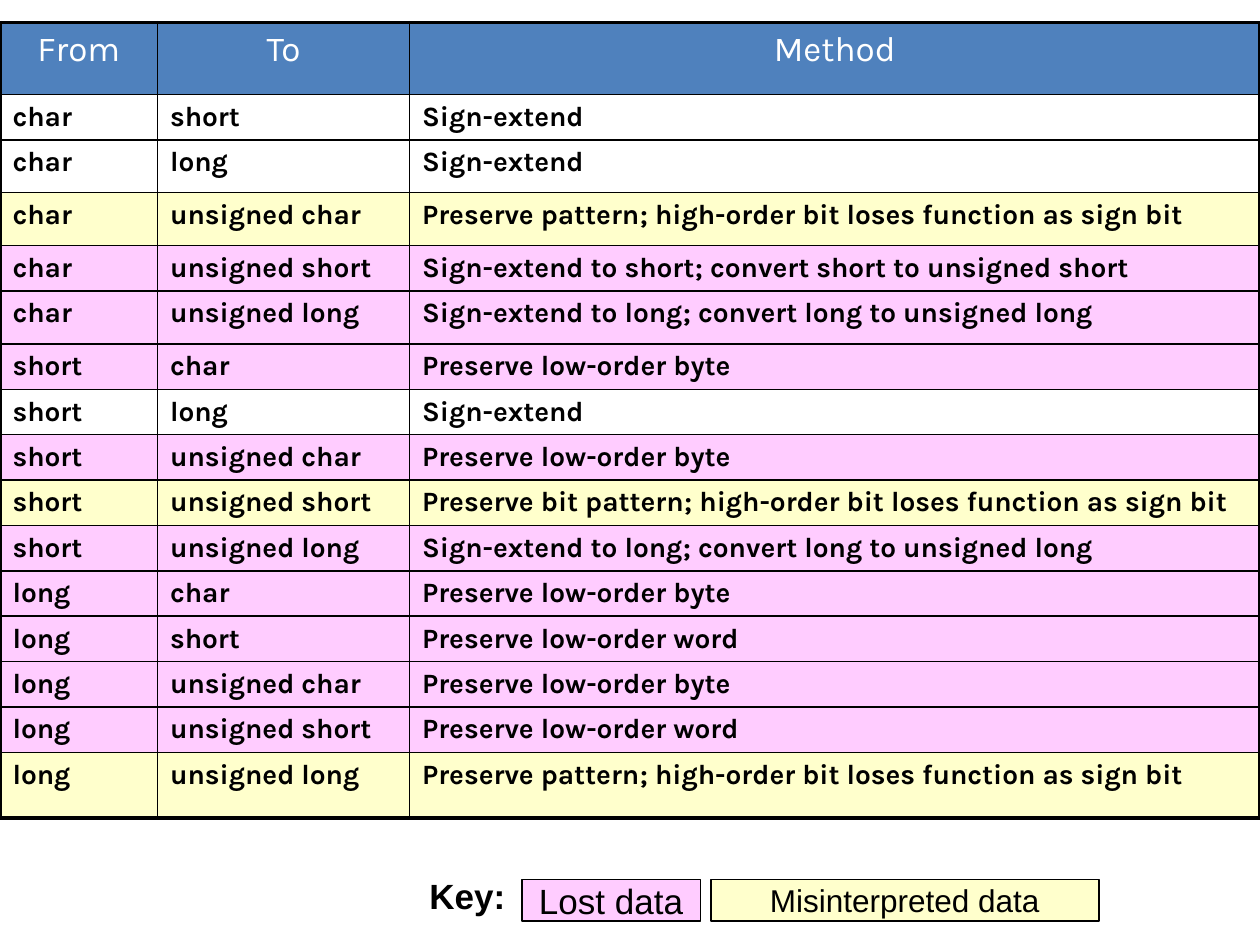
from lxml import etree
from pptx import Presentation
from pptx.dml.color import RGBColor
from pptx.enum.shapes import MSO_SHAPE
from pptx.enum.text import MSO_ANCHOR, MSO_AUTO_SIZE, PP_ALIGN
from pptx.oxml.ns import qn
from pptx.util import Inches, Pt

RECTANGLE = MSO_SHAPE.RECTANGLE
MIDDLE = MSO_ANCHOR.MIDDLE
GROW = MSO_AUTO_SIZE.SHAPE_TO_FIT_TEXT
LEFT, CENTER = PP_ALIGN.LEFT, PP_ALIGN.CENTER

THEME = {
    "black": "000000",
    "white": "FFFFFF",
    "header": "4F81BD",
    "safe": "FFFFFF",
    "misread": "FFFFCC",
    "lost": "FFCCFF",
    "table_font": "Karla",
    "key_font": "Arial",
    "large": Pt(20),
    "medium": Pt(18),
    "body": Pt(16),
    "thin": Pt(1),
    "thick": Pt(2.25),
}

ROW = 0.36
TALL = 0.42
CONVERSIONS = [
    ("char", "short", "Sign-extend", "safe", ROW),
    ("char", "long", "Sign-extend", "safe", TALL),
    ("char", "unsigned char", "Preserve pattern; high-order bit loses function as sign bit", "misread", TALL),
    ("char", "unsigned short", "Sign-extend to short; convert short to unsigned short", "lost", ROW),
    ("char", "unsigned long", "Sign-extend to long; convert long to unsigned long", "lost", TALL),
    ("short", "char", "Preserve low-order byte", "lost", ROW),
    ("short", "long", "Sign-extend", "safe", ROW),
    ("short", "unsigned char", "Preserve low-order byte", "lost", ROW),
    ("short", "unsigned short", "Preserve bit pattern; high-order bit loses function as sign bit", "misread", ROW),
    ("short", "unsigned long", "Sign-extend to long; convert long to unsigned long", "lost", ROW),
    ("long", "char", "Preserve low-order byte", "lost", ROW),
    ("long", "short", "Preserve low-order word", "lost", ROW),
    ("long", "unsigned char", "Preserve low-order byte", "lost", ROW),
    ("long", "unsigned short", "Preserve low-order word", "lost", ROW),
    ("long", "unsigned long", "Preserve pattern; high-order bit loses function as sign bit", "misread", 0.52),
]
ROWS = [("From", "To", "Method", "header", 0.57)] + CONVERSIONS
COLUMN_WIDTHS = [1.25, 2, 6.75]


def write(frame, text, font, size, color, bold, align):
    para = frame.paragraphs[0]
    para.alignment = align
    span = para.add_run()
    span.text = text
    span.font.name = THEME[font]
    span.font.size = THEME[size]
    span.font.bold = bold
    span.font.color.rgb = RGBColor.from_string(THEME[color])


def set_border(cell, side, width):
    line = etree.SubElement(cell._tc.get_or_add_tcPr(), qn(f"a:ln{side}"), w=str(THEME[width]))
    fill = etree.SubElement(line, qn("a:solidFill"))
    etree.SubElement(fill, qn("a:srgbClr"), val=THEME["black"])


deck = Presentation()
deck.slide_width = Inches(10)
deck.slide_height = Inches(7.5)
page = deck.slides.add_slide(deck.slide_layouts[6])

table_height = sum(row[-1] for row in ROWS)
table = page.shapes.add_table(
    len(ROWS), len(COLUMN_WIDTHS), Inches(0), Inches(0.18), Inches(10), Inches(table_height)
).table
table.horz_banding = False
for column, width in zip(table.columns, COLUMN_WIDTHS):
    column.width = Inches(width)

last_row = len(ROWS) - 1
last_column = len(COLUMN_WIDTHS) - 1
for row_index, (*texts, kind, height) in enumerate(ROWS):
    table.rows[row_index].height = Inches(height)
    for column_index, text in enumerate(texts):
        cell = table.cell(row_index, column_index)
        outer_edges = {
            "L": column_index == 0,
            "R": column_index == last_column,
            "T": row_index == 0,
            "B": row_index == last_row,
        }
        for side, is_outer in outer_edges.items():
            set_border(cell, side, "thick" if is_outer else "thin")
        cell.fill.solid()
        cell.fill.fore_color.rgb = RGBColor.from_string(THEME[kind])
        if kind == "header":
            write(cell.text_frame, text, "table_font", "large", "white", False, CENTER)
        else:
            write(cell.text_frame, text, "table_font", "body", "black", True, LEFT)

KEY_ENTRIES = [
    ("Misinterpreted data", "misread", 5.64, 3.08, "medium"),
    ("Lost data", "lost", 4.14, 1.42, "large"),
]
for text, kind, left, width, size in KEY_ENTRIES:
    box = page.shapes.add_shape(RECTANGLE, Inches(left), Inches(6.98), Inches(width), Inches(0.33))
    box.shadow.inherit = False
    box.fill.solid()
    box.fill.fore_color.rgb = RGBColor.from_string(THEME[kind])
    box.line.color.rgb = RGBColor.from_string(THEME["black"])
    box.line.width = THEME["thin"]
    box.text_frame.word_wrap = False
    box.text_frame.vertical_anchor = MIDDLE
    write(box.text_frame, text, "key_font", size, "black", False, CENTER)

key_label = page.shapes.add_textbox(Inches(3.31), Inches(6.89), Inches(0.8), Inches(0.43))
key_label.text_frame.word_wrap = False
key_label.text_frame.auto_size = GROW
write(key_label.text_frame, "Key:", "key_font", "large", "black", True, CENTER)

deck.save("out.pptx")
